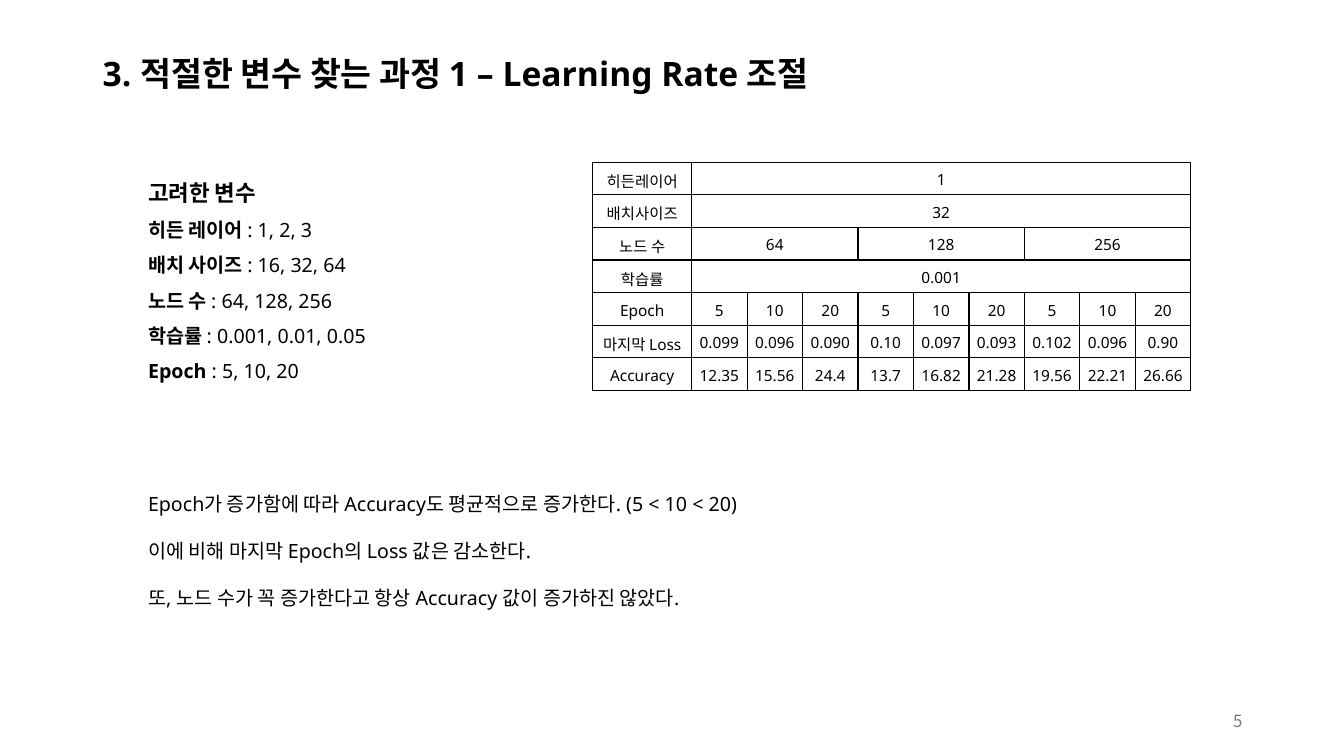
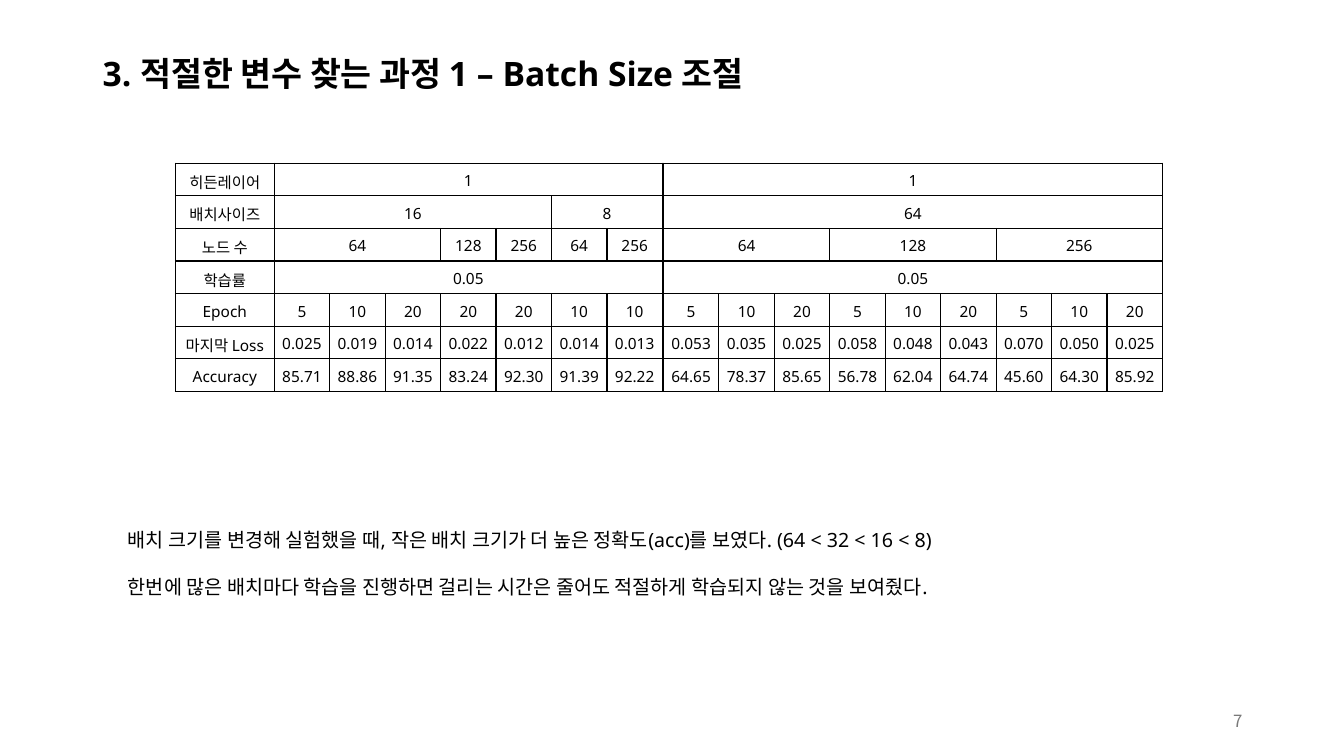
import pptx
import pptx.util
import pptx.dml.color
import pptx.enum.shapes
import pptx.enum.text
import pptx.oxml.ns
import lxml.etree

Inches, Pt = pptx.util.Inches, pptx.util.Pt
ALIGN, ANCHOR = pptx.enum.text.PP_ALIGN, pptx.enum.text.MSO_ANCHOR
qn = pptx.oxml.ns.qn

COLORS = {"text": "000000", "paper": "FFFFFF", "number": "797979", "rule": "000000"}
LATIN, KOREAN = "Noto Sans", "Noto Sans CJK KR"
LABEL_W, VALUE_W, ROW_H, CELL_INSET = 0.98, 0.55, 0.32, 0.07
ROW_LABELS = ["히든레이어", "배치사이즈", "노드 수", "학습률", "Epoch", "마지막 Loss", "Accuracy"]

# Paragraph formats
TITLE_PARA = {"line_spacing": 0.9}
NUMBER_PARA = {"alignment": ALIGN.RIGHT}
CELL_PARA = {"alignment": ALIGN.CENTER}
VARIABLE_PARA = {"alignment": ALIGN.LEFT, "line_spacing": Pt(25.2)}
NOTE_PARA = {"alignment": ALIGN.LEFT, "line_spacing": Pt(20)}
NOTE_GAP = {"space_before": Pt(13.6)}


def rgb(name):
    return pptx.dml.color.RGBColor.from_string(COLORS[name])


def set_attrs(obj, values):
    for name, value in values.items():
        setattr(obj, name, value)


def add_run(p, text, size, bold=False, color="text", latin=LATIN):
    r = p.add_run()
    r.text = text
    set_attrs(r.font, {"size": Pt(size), "bold": bold, "name": latin})
    r.font.color.rgb = rgb(color)
    ea = lxml.etree.SubElement(r.font._element, qn("a:ea"))
    ea.set("typeface", KOREAN)


def add_paragraphs(tf, paragraphs):
    """Each paragraph is a pair: its format and a list of run arguments."""
    set_attrs(tf, {"word_wrap": True, "vertical_anchor": ANCHOR.MIDDLE})
    for i, (fmt, runs) in enumerate(paragraphs):
        p = tf.paragraphs[0] if i == 0 else tf.add_paragraph()
        set_attrs(p, fmt)
        for args in runs:
            add_run(p, *args)


def add_text(s, box, paragraphs):
    sp = s.shapes.add_textbox(*map(Inches, box))
    add_paragraphs(sp.text_frame, paragraphs)


def add_panel(s, box, paragraphs):
    sp = s.shapes.add_shape(pptx.enum.shapes.MSO_SHAPE.RECTANGLE, *map(Inches, box))
    sp.shadow.inherit = False
    sp.fill.solid()
    sp.fill.fore_color.rgb = rgb("paper")
    sp.line.fill.background()
    add_paragraphs(sp.text_frame, paragraphs)


def add_variables(s, box, heading, variables):
    lines = [(VARIABLE_PARA, [(heading, 16, True)])]
    lines += [(VARIABLE_PARA, [(name, 14, True), (values, 14)]) for name, values in variables]
    add_panel(s, box, lines)


def add_notes(s, box, notes):
    add_panel(s, box, [({**NOTE_PARA, **(NOTE_GAP if i else {})}, [(note, 14)])
                       for i, note in enumerate(notes)])


def add_borders(cell):
    tc_pr = cell._tc.get_or_add_tcPr()
    for i, side in enumerate(("a:lnL", "a:lnR", "a:lnT", "a:lnB")):
        ln = lxml.etree.Element(qn(side), w=str(Pt(1)))
        fill = lxml.etree.SubElement(ln, qn("a:solidFill"))
        lxml.etree.SubElement(fill, qn("a:srgbClr"), val=COLORS["rule"])
        tc_pr.insert(i, ln)


def add_results(s, left, top, rows, labels=None):
    """Rows hold texts, or (text, span) pairs for merged cells."""
    widths = ([LABEL_W] if labels else []) + [VALUE_W] * len(rows[-1])
    if labels:
        rows = [[label, *row] for label, row in zip(labels, rows)]
    frame = s.shapes.add_table(len(rows), len(widths), Inches(left), Inches(top),
                               Inches(sum(widths)), Inches(ROW_H * len(rows)))
    table = frame.table
    set_attrs(table, {"first_row": False, "horz_banding": False})
    for column, width in zip(table.columns, widths):
        column.width = Inches(width)
    for row in table.rows:
        row.height = Inches(ROW_H)
        for cell in row.cells:
            cell.fill.background()
            add_borders(cell)
            set_attrs(cell, {"margin_" + side: Inches(CELL_INSET)
                             for side in ("left", "right", "top", "bottom")})
    for i, row in enumerate(rows):
        j = 0
        for item in row:
            text, span = item if isinstance(item, tuple) else (item, 1)
            cell = table.cell(i, j)
            if span > 1:
                cell.merge(table.cell(i, j + span - 1))
            p = cell.text_frame.paragraphs[0]
            set_attrs(p, CELL_PARA)
            add_run(p, text, 11)
            j += span


def nine_run_rows(batch, rate, losses, accuracies):
    """One hidden layer, three node counts, three epoch counts each."""
    nodes = [(count, 3) for count in ("64", "128", "256")]
    return [[("1", 9)], [(batch, 9)], nodes, [(rate, 9)], ["5", "10", "20"] * 3,
            losses.split(), accuracies.split()]


def add_base(prs, title, number):
    s = prs.slides.add_slide(prs.slide_layouts[6])
    add_text(s, (0.92, 0.4, 11.5, 0.69), [(TITLE_PARA, [(title, 24, True)])])
    add_text(s, (9.42, 6.95, 3, 0.4),
             [(NUMBER_PARA, [(number, 12, False, "number", KOREAN)])])
    return s


def learning_rate_slide(prs):
    s = add_base(prs, "3. 적절한 변수 찾는 과정 1 – Learning Rate 조절", "5")
    # Variables considered
    add_variables(s, (1.37, 1.55, 2.83, 2.39), "고려한 변수", [
        ("히든 레이어 ", ": 1, 2, 3"),
        ("배치 사이즈 ", ": 16, 32, 64"),
        ("노드 수 ", ": 64, 128, 256"),
        ("학습률 ", ": 0.001, 0.01, 0.05"),
        ("Epoch", " : 5, 10, 20"),
    ])
    # Findings
    add_notes(s, (1.37, 4.79, 7.03, 1.3), [
        "Epoch가 증가함에 따라 Accuracy도 평균적으로 증가한다. (5 < 10 < 20)",
        "이에 비해 마지막 Epoch의 Loss 값은 감소한다.",
        "또, 노드 수가 꼭 증가한다고 항상 Accuracy 값이 증가하진 않았다.",
    ])
    # Results
    add_results(s, 5.88, 1.61, nine_run_rows(
        "32", "0.001",
        "0.099 0.096 0.090 0.10 0.097 0.093 0.102 0.096 0.90",
        "12.35 15.56 24.4 13.7 16.82 21.28 19.56 22.21 26.66"), ROW_LABELS)


def batch_size_slide(prs):
    s = add_base(prs, "3. 적절한 변수 찾는 과정 1 – Batch Size 조절", "7")
    # Findings
    add_notes(s, (1.17, 4.64, 10.82, 1.85), [
        "배치 크기를 변경해 실험했을 때, 작은 배치 크기가 더 높은 정확도(acc)를 보였다. (64 < 32 < 16 < 8)",
        "한번에 많은 배치마다 학습을 진행하면 걸리는 시간은 줄어도 적절하게 학습되지 않는 것을 보여줬다.",
    ])
    # Large batch results
    add_results(s, 6.58, 1.62, nine_run_rows(
        "64", "0.05",
        "0.053 0.035 0.025 0.058 0.048 0.043 0.070 0.050 0.025",
        "64.65 78.37 85.65 56.78 62.04 64.74 45.60 64.30 85.92"))
    # Small batch results
    add_results(s, 1.74, 1.62, [
        [("1", 7)],
        [("16", 5), ("8", 2)],
        [("64", 3), "128", "256", "64", "256"],
        [("0.05", 7)],
        ["5", "10", "20", "20", "20", "10", "10"],
        "0.025 0.019 0.014 0.022 0.012 0.014 0.013".split(),
        "85.71 88.86 91.35 83.24 92.30 91.39 92.22".split(),
    ], ROW_LABELS)


def main():
    prs = pptx.Presentation()
    set_attrs(prs, {"slide_width": Inches(13.33), "slide_height": Inches(7.5)})
    learning_rate_slide(prs)
    batch_size_slide(prs)
    prs.save("out.pptx")


if __name__ == "__main__":
    main()
